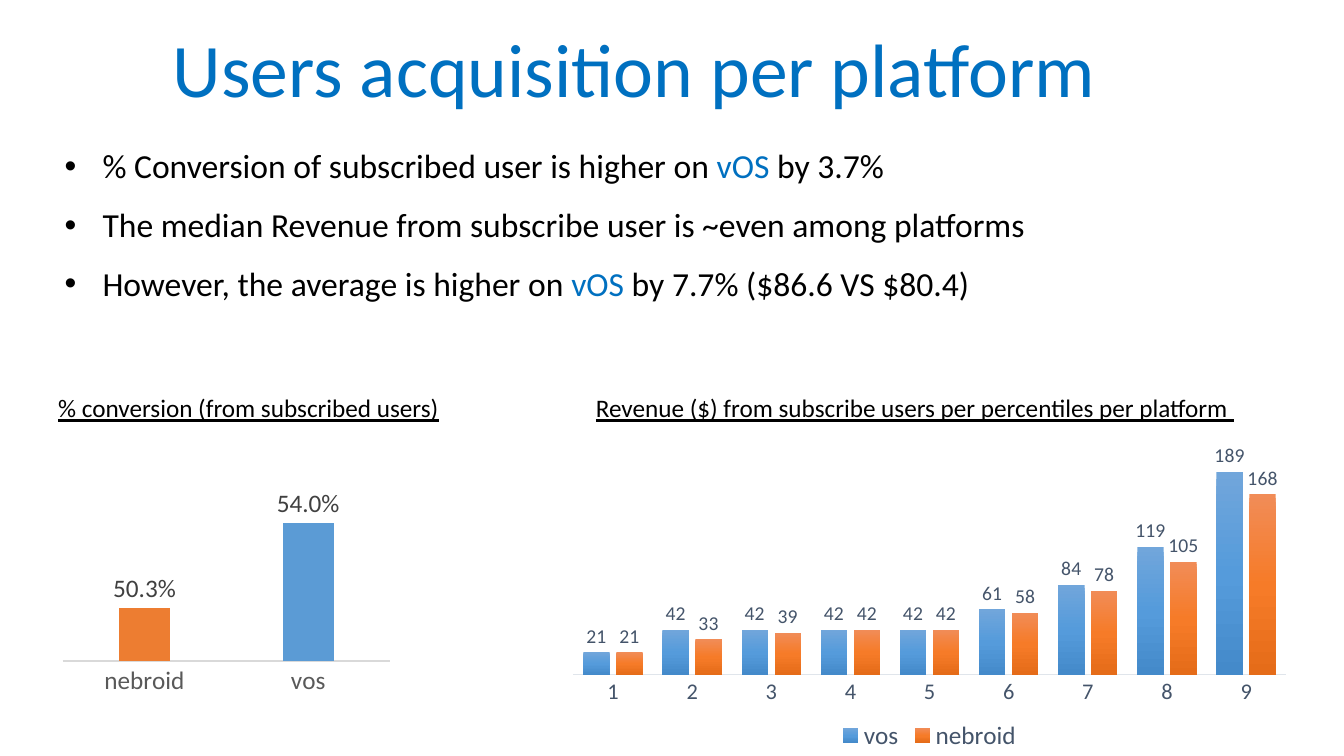
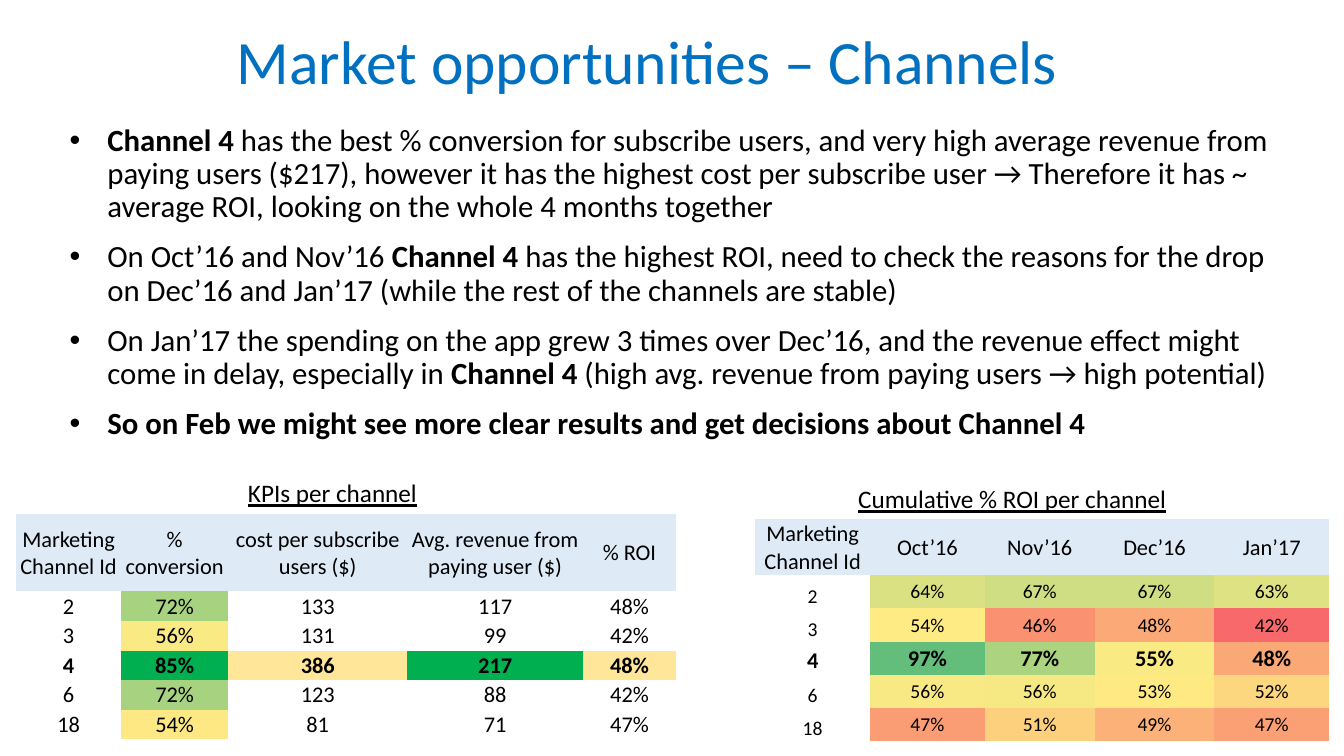
"""Build two slides on user acquisition per platform and marketing channels."""
from copy import deepcopy

from lxml import etree
from pptx import Presentation
from pptx.chart import data as chart_data
from pptx.dml import color as dml
from pptx.enum import chart as chart_enum, text
from pptx.oxml import ns, parse_xml
from pptx.util import Pt

FONT = "Calibri"
BLACK, ACCENT, WHITE, HEADER = "000000", "0070C0", "FFFFFF", "DEEBF7"
GREEN, LIGHT_GREEN, SAND = "00B050", "A7D27F", "FFE699"
PLAIN_TABLE = "{2D5ABB26-0587-4C30-8999-92F81FD0307C}"
CENTER, LEFT = text.PP_ALIGN.CENTER, text.PP_ALIGN.LEFT
TOP, MIDDLE, BOTTOM = (text.MSO_ANCHOR.TOP, text.MSO_ANCHOR.MIDDLE,
                       text.MSO_ANCHOR.BOTTOM)

PLATFORMS = {
    "title": ("Users acquisition per platform ", 54, (39, 19.5, 840, 65.5)),
    "bullets": [
        "% Conversion of subscribed user is higher on *vOS* by 3.7%",
        "The median Revenue from subscribe user is ~even among platforms",
        "However, the average is higher on *vOS* by 7.7% ($86.6 VS $80.4)",
    ],
    "box": (39, 103.5, 776, 136),
    "size": 24,
    "gap": 8,
    "emphasis": {"color": ACCENT},
    "headings": [
        ("% conversion (from subscribed users)", LEFT, (34.5, 277, 302, 29)),
        ("Revenue ($) from subscribe users per percentiles per platform ",
         LEFT, (418.5, 277, 502, 29)),
    ],
    "charts": [
        {
            "box": (34.5, 344, 257, 166.5),
            "categories": ["nebroid", "vos"],
            "series": {"Conversion": [0.503, 0.54]},
            "fills": [["5B9BD5"]],
            "points": {0: "ED7D31"},
            "number_format": "0.0%",
            "range": (0.48, 0.55),
            "gap_overlap": (219, -27),
            "plot": (0.04, 0.08, 0.91, 0.69),
            "axis": (18, "595959", "D9D9D9"),
            "label": (18, "404040"),
            "legend": False,
        },
        {
            "box": (399, 317, 530, 223),
            "categories": [str(number) for number in range(1, 10)],
            "series": {
                "vos": [21, 42, 42, 42, 42, 61, 84, 119, 189],
                "nebroid": [21, 33, 39, 42, 42, 58, 78, 105, 168],
            },
            "fills": [["71A6DB", "559BDB", "448ACA"],
                      ["F18C57", "F67B28", "E56C19"]],
            "points": {},
            "number_format": "0",
            "range": (0, 200),
            "gap_overlap": (75, -25),
            "plot": (0.02, 0.05, 0.96, 0.69),
            "axis": (16, "44546A", "E0E5EB"),
            "label": (14, "44546A"),
            "legend": True,
        },
    ],
    "tables": [],
}

CHANNELS = {
    "title": ("Market opportunities – Channels", 44, (42.5, 8, 840, 65.5)),
    "bullets": [
        "*Channel 4* has the best % conversion for subscribe users, and very "
        "high average revenue from paying users ($217), however it has the "
        "highest cost per subscribe user → Therefore it has ~ average ROI, "
        "looking on the whole 4 months together",
        "On Oct’16 and Nov’16 *Channel 4* has the highest ROI, need to check "
        "the reasons for the drop on Dec’16 and Jan’17 (while the rest of the "
        "channels are stable)",
        "On Jan’17 the spending on the app grew 3 times over Dec’16, and the "
        "revenue effect might come in delay, especially in *Channel 4 *(high "
        "avg. revenue from paying users → high potential)",
        "*So on Feb we might see more clear results and get decisions about "
        "Channel 4*",
    ],
    "box": (42.5, 85.5, 880.5, 236),
    "size": 22,
    "gap": 6,
    "emphasis": {"bold": True},
    "headings": [
        ("KPIs per channel", CENTER, (24, 337.5, 427, 29)),
        ("Cumulative % ROI per channel", CENTER, (515.5, 342, 415, 29)),
    ],
    "charts": [],
    "tables": [
        {
            "origin": (11.5, 367),
            "columns": [75, 76.5, 128, 125.5, 66.5],
            "heights": (55.5, 21.1),
            "body_size": 16,
            "first_anchor": MIDDLE,
            "rows": [
                ["Marketing Channel Id", "% conversion",
                 "cost per subscribe users ($)",
                 "Avg. revenue from paying user ($)", "% ROI"],
                ["2", "72%", "133", "117", "48%"],
                ["3", "56%", "131", "99", "42%"],
                ["4", "85%", "386", "217", "48%"],
                ["6", "72%", "123", "88", "42%"],
                ["18", "54%", "81", "71", "47%"],
            ],
            "fills": [
                [HEADER] * 5,
                [None, LIGHT_GREEN, None, None, None],
                [None, "FAEA84", None, None, None],
                [None, GREEN, SAND, GREEN, SAND],
                [None, LIGHT_GREEN, None, None, None],
                [None, "FEE883", None, None, None],
            ],
        },
        {
            "origin": (539.5, 371),
            "columns": [82, 82, 78.5, 85.5, 82],
            "heights": (35.5, 23.7),
            "body_size": 14,
            "first_anchor": BOTTOM,
            "rows": [
                ["Marketing Channel Id", "Oct’16", "Nov’16", "Dec’16", "Jan’17"],
                ["2", "64%", "67%", "67%", "63%"],
                ["3", "54%", "46%", "48%", "42%"],
                ["4", "97%", "77%", "55%", "48%"],
                ["6", "56%", "56%", "53%", "52%"],
                ["18", "47%", "51%", "49%", "47%"],
            ],
            "fills": [
                [HEADER] * 5,
                [WHITE, "DAE182", "CFDE82", "CFDE82", "DEE283"],
                [WHITE, "FFEB84", "FA9272", "FBAA77", "F8696B"],
                [WHITE, "63BE7B", "ACD380", "F9EA84", "FBA877"],
                [WHITE, "F8E984", "F6E984", "FEE983", "FDD780"],
                [WHITE, "FA9D75", "FDD07E", "FBB178", "FBA075"],
            ],
        },
    ],
}


def rgb(value):
    return dml.RGBColor.from_string(value)


def points(values):
    return [Pt(value) for value in values]


def apply(target, **values):
    for name, value in values.items():
        setattr(target, name, value)


def set_font(font, size, color=BLACK, **values):
    apply(font, name=FONT, size=Pt(size), **values)
    font.color.rgb = rgb(color)


def add_run(paragraph, words, size, **values):
    run = paragraph.add_run()
    run.text = words
    set_font(run.font, size, **values)


def place(shape, box, anchor):
    apply(shape, **dict(zip(("left", "top", "width", "height"), points(box))))
    apply(shape.text_frame, word_wrap=True, vertical_anchor=anchor,
          auto_size=text.MSO_AUTO_SIZE.NONE)


def add_title(slide, words, size, box):
    title = slide.shapes.title
    place(title, box, BOTTOM)
    paragraph = title.text_frame.paragraphs[0]
    apply(paragraph, alignment=CENTER, line_spacing=0.9)
    add_run(paragraph, words, size, color=ACCENT)


def add_bullets(slide, content):
    body = slide.placeholders[1]
    place(body, content["box"], TOP)
    frame = body.text_frame
    gap = Pt(content["gap"])
    for index, line in enumerate(content["bullets"]):
        paragraph = frame.add_paragraph() if index else frame.paragraphs[0]
        apply(paragraph, alignment=LEFT, line_spacing=0.9,
              space_before=gap, space_after=gap)
        properties = paragraph._p.get_or_add_pPr()
        properties.set("marL", str(Pt(27)))
        properties.set("indent", str(Pt(-27)))
        etree.SubElement(properties, ns.qn("a:buFont"), typeface="Arial")
        etree.SubElement(properties, ns.qn("a:buChar"), char="•")
        for part, words in enumerate(line.split("*")):
            if words:
                style = content["emphasis"] if part % 2 else {}
                add_run(paragraph, words, content["size"],
                        **{"bold": False, **style})


def add_heading(slide, words, alignment, box):
    heading = slide.shapes.add_textbox(*points(box))
    place(heading, box, TOP)
    paragraph = heading.text_frame.paragraphs[0]
    paragraph.alignment = alignment
    add_run(paragraph, words, 18, underline=True)


def fill_series(series, colors):
    fill = series.format.fill
    if len(colors) == 1:
        fill.solid()
        fill.fore_color.rgb = rgb(colors[0])
        return
    fill.gradient()
    fill.gradient_angle = 270
    stops = series._element.find(".//" + ns.qn("a:gsLst"))
    stops.append(deepcopy(stops[0]))
    for index, (stop, color) in enumerate(zip(fill.gradient_stops, colors)):
        stop.position = index / (len(colors) - 1)
        stop.color.rgb = rgb(color)


def set_plot_area(chart, box):
    area = chart._chartSpace.find(".//" + ns.qn("c:plotArea"))
    for layout in area.findall(ns.qn("c:layout")):
        area.remove(layout)
    modes = '<c:xMode val="edge"/><c:yMode val="edge"/>'
    sizes = "".join(f'<c:{name} val="{value}"/>' for name, value in zip("xywh", box))
    area.insert(0, parse_xml(
        f'<c:layout {ns.nsdecls("c")}><c:manualLayout>'
        f'<c:layoutTarget val="inner"/>{modes}{sizes}</c:manualLayout></c:layout>'))


def add_column_chart(slide, content):
    data = chart_data.CategoryChartData(number_format=content["number_format"])
    data.categories = content["categories"]
    for name, values in content["series"].items():
        data.add_series(name, values)
    chart = slide.shapes.add_chart(chart_enum.XL_CHART_TYPE.COLUMN_CLUSTERED,
                                   *points(content["box"]), data).chart
    apply(chart, has_title=False, has_legend=content["legend"])
    set_font(chart.font, 10)
    set_plot_area(chart, content["plot"])
    size, color, line = content["axis"]
    if content["legend"]:
        apply(chart.legend, include_in_layout=False,
              position=chart_enum.XL_LEGEND_POSITION.BOTTOM)
        set_font(chart.legend.font, 18, color)
    low, high = content["range"]
    apply(chart.value_axis, visible=False, has_major_gridlines=False,
          minimum_scale=low, maximum_scale=high)
    axis = chart.category_axis
    axis.major_tick_mark = chart_enum.XL_TICK_MARK.NONE
    set_font(axis.tick_labels.font, size, color)
    axis.format.line.width = Pt(0.75)
    axis.format.line.color.rgb = rgb(line)
    plot = chart.plots[0]
    gap, overlap = content["gap_overlap"]
    apply(plot, gap_width=gap, overlap=overlap, vary_by_categories=False,
          has_data_labels=True)
    apply(plot.data_labels, show_value=True, number_format_is_linked=False,
          number_format=content["number_format"],
          position=chart_enum.XL_LABEL_POSITION.OUTSIDE_END)
    set_font(plot.data_labels.font, *content["label"])
    for series, colors in zip(plot.series, content["fills"]):
        fill_series(series, colors)
    for index, color in content["points"].items():
        fill_series(plot.series[0].points[index], [color])


def add_channel_table(slide, content):
    rows, columns = content["rows"], content["columns"]
    header, body = content["heights"]
    heights = [header] + [body] * (len(rows) - 1)
    box = (*content["origin"], sum(columns), sum(heights))
    table = slide.shapes.add_table(len(rows), len(columns), *points(box)).table
    apply(table, first_row=False, horz_banding=False)
    table._tbl.tblPr.find(ns.qn("a:tableStyleId")).text = PLAIN_TABLE
    for column, width in zip(table.columns, columns):
        column.width = Pt(width)
    for index, (row, height) in enumerate(zip(table.rows, heights)):
        row.height = Pt(height)
        bold = rows[index][0] == "4"
        size = 16 if bold or index == 0 else content["body_size"]
        entries = zip(row.cells, rows[index], content["fills"][index])
        for position, (cell, words, color) in enumerate(entries):
            apply(cell, margin_left=Pt(0.7), margin_right=Pt(0.7),
                  margin_top=Pt(0.7), margin_bottom=0,
                  vertical_anchor=MIDDLE if position else content["first_anchor"])
            if color:
                cell.fill.solid()
                cell.fill.fore_color.rgb = rgb(color)
            else:
                cell.fill.background()
            paragraph = cell.text_frame.paragraphs[0]
            paragraph.alignment = CENTER
            add_run(paragraph, words, size, bold=bold)


def main():
    presentation = Presentation()
    apply(presentation, slide_width=Pt(960), slide_height=Pt(540))
    for content in (PLATFORMS, CHANNELS):
        slide = presentation.slides.add_slide(presentation.slide_layouts[0])
        add_title(slide, *content["title"])
        add_bullets(slide, content)
        for heading in content["headings"]:
            add_heading(slide, *heading)
        for chart in content["charts"]:
            add_column_chart(slide, chart)
        for table in content["tables"]:
            add_channel_table(slide, table)
    presentation.save("out.pptx")


if __name__ == "__main__":
    main()
